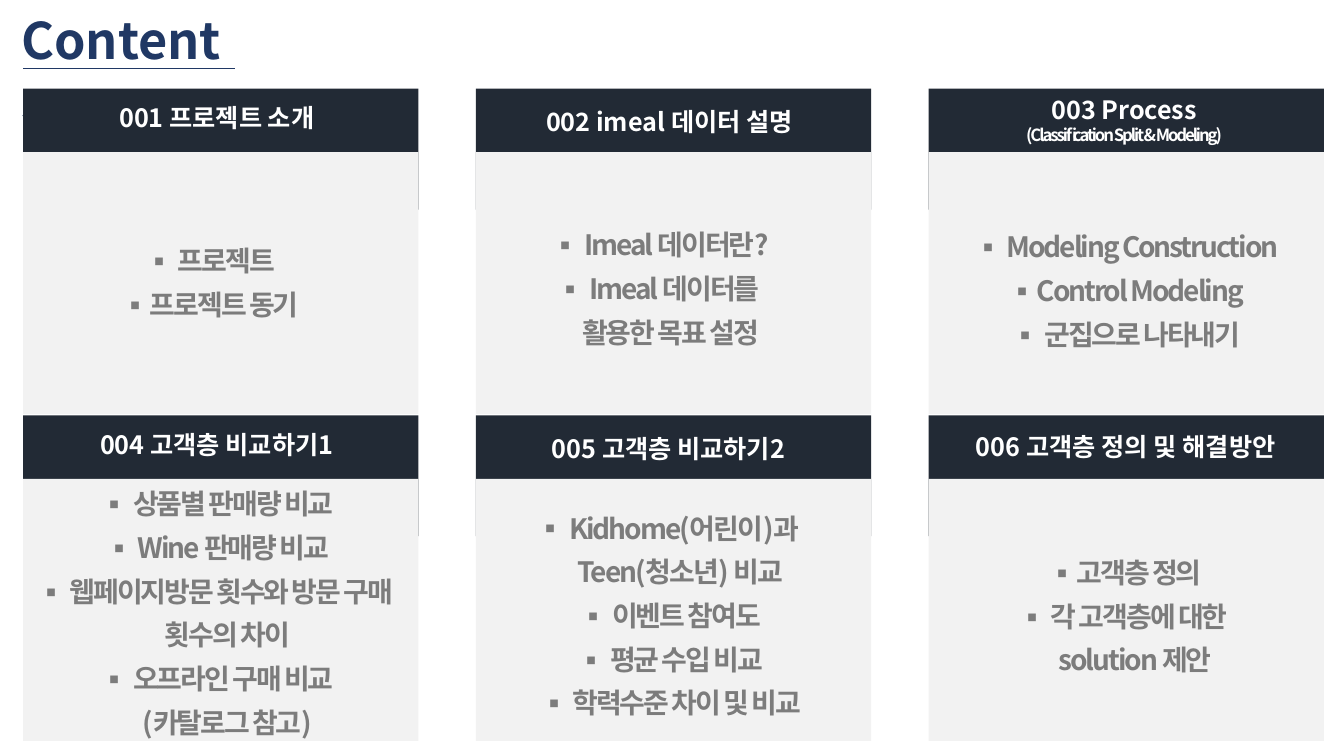
"""Build a contents slide with six titled cards in a grid."""
import dataclasses
import typing

import lxml.etree
import pptx
import pptx.dml.color
import pptx.enum.shapes
import pptx.enum.text
import pptx.oxml.ns
import pptx.util

Inches = pptx.util.Inches
qn = pptx.oxml.ns.qn
Box = typing.Tuple[float, float, float, float]

FONT = "Noto Sans CJK KR"
HEX = {"navy": "203864", "bar": "222A35", "panel": "F2F2F2", "white": "FFFFFF", "gray": "7C7C7C"}
COLS = 3
LEFT, TOP, WIDTH = 0.23, 0.88, 3.92
STEP_X, STEP_Y = 4.49, 3.24
BAR, DROP, PANEL = 1.2, 0.63, 2.6
INDENT = 0.2


@dataclasses.dataclass(frozen=True)
class Look:
    """Describe how a paragraph is set."""
    size: int
    color: str
    align: pptx.enum.text.PP_ALIGN = pptx.enum.text.PP_ALIGN.CENTER
    tight: bool = False
    lines: float = 1.0


@dataclasses.dataclass(frozen=True)
class Card:
    """Hold the wording and text boxes of one card."""
    head: str
    spot: Box
    items: typing.List[str]
    area: Box
    note: str = ""


TITLE = Look(36, "navy", pptx.enum.text.PP_ALIGN.LEFT)
HEAD = Look(18, "white")
NOTE = Look(12, "white", tight=True)
ITEM = Look(20, "gray", tight=True, lines=1.3)

CARDS = [
    Card("001 프로젝트 소개", (0.42, 0.97, 3.46, 0.4),
         [" 프로젝트", "프로젝트 동기"], (0.06, 2.27, 4.05, 0.93)),
    Card("002 imeal 데이터 설명", (4.91, 1.01, 3.46, 0.4),
         [" Imeal 데이터란?", " Imeal 데이터를 \n활용한 목표 설정"], (4.39, 2.11, 4.32, 1.41)),
    Card("003 Process", (9.2, 0.89, 3.9, 0.61),
         [" Modeling Construction", "Control Modeling", " 군집으로 나타내기"],
         (9.2, 2.13, 3.94, 1.41), "(Classification Split & Modeling)"),
    Card("004 고객층 비교하기1", (0.42, 4.21, 3.46, 0.4),
         [" 상품별 판매량 비교", " Wine 판매량 비교",
          " 웹페이지방문 횟수와 방문 구매 \n횟수의 차이", " 오프라인 구매 비교\n(카탈로그 참고)"],
         (0.13, 4.68, 4.05, 2.73)),
    Card("005 고객층 비교하기2", (4.9, 4.25, 3.46, 0.4),
         [" Kidhome(어린이)과 \nTeen(청소년) 비교", " 이벤트 참여도",
          " 평균 수입 비교", " 학력수준 차이 및 비교"], (4.28, 4.92, 4.74, 2.29)),
    Card("006 고객층 정의 및 해결방안", (9.3, 4.23, 3.73, 0.4),
         ["고객층 정의", " 각 고객층에 대한 \nsolution 제안"], (9.18, 5.36, 3.96, 1.41)),
]


def rgb(name: str) -> pptx.dml.color.RGBColor:
    """Return a named colour."""
    return pptx.dml.color.RGBColor.from_string(HEX[name])


def place(shape, box: Box, wrap: bool = True) -> None:
    """Move a text shape and set its frame."""
    shape.left, shape.top, shape.width, shape.height = map(Inches, box)
    frame = shape.text_frame
    frame.word_wrap = wrap
    frame.auto_size = pptx.enum.text.MSO_AUTO_SIZE.SHAPE_TO_FIT_TEXT
    frame.vertical_anchor = pptx.enum.text.MSO_ANCHOR.TOP
    frame.margin_left = frame.margin_right = Inches(0.1)
    frame.margin_top = frame.margin_bottom = Inches(0.05)


def style(para, look: Look) -> None:
    """Format a paragraph and its runs."""
    para.alignment = look.align
    para.line_spacing = look.lines
    para.space_before = para.space_after = pptx.util.Pt(0)
    for run in para.runs:
        font = run.font
        font.size, font.bold, font.name = pptx.util.Pt(look.size), True, FONT
        font.color.rgb = rgb(look.color)


def refine(node, look: Look) -> None:
    """Set the Korean font, letter spacing and break size of a paragraph."""
    for props in node.iter(qn("a:rPr")):
        lxml.etree.SubElement(props, qn("a:ea"), typeface=FONT)
        if look.tight:
            props.set("spc", "-150")
    for gap in node.iter(qn("a:br")):
        lxml.etree.SubElement(gap, qn("a:rPr"), sz=str(look.size * 100))


def write(shape, texts: typing.List[str], looks: typing.List[Look]) -> None:
    """Fill a shape with one paragraph for each text and look."""
    frame = shape.text_frame
    for num, (text, look) in enumerate(zip(texts, looks)):
        para = frame.add_paragraph() if num else frame.paragraphs[0]
        para.text = text
        style(para, look)
    for node, look in zip(shape.element.iter(qn("a:p")), looks):
        refine(node, look)


def bullet(shape) -> None:
    """Give each paragraph a square bullet and a hanging indent."""
    for props in shape.element.iter(qn("a:pPr")):
        props.set("marL", str(Inches(INDENT)))
        props.set("indent", str(Inches(-INDENT)))
        lxml.etree.SubElement(props, qn("a:buFont"), typeface=FONT)
        lxml.etree.SubElement(props, qn("a:buChar"), char="▪")


def block(slide, box: Box, color: str) -> None:
    """Draw a plain filled rectangle."""
    shape = slide.shapes.add_shape(pptx.enum.shapes.MSO_SHAPE.RECTANGLE, *map(Inches, box))
    shape.shadow.inherit = False
    shape.fill.solid()
    shape.fill.fore_color.rgb = rgb(color)
    shape.line.fill.background()


def label(slide, card: Card) -> None:
    """Write the heading of a card and its note, if any."""
    shape = slide.shapes.add_textbox(*map(Inches, card.spot))
    place(shape, card.spot)
    texts = [card.head, card.note] if card.note else [card.head]
    write(shape, texts, [HEAD, NOTE][:len(texts)])


def outline(slide, card: Card, shape) -> None:
    """Write the bullets of a card in front of its panel."""
    slide.shapes.element.append(shape.element)
    place(shape, card.area)
    write(shape, card.items, [ITEM] * len(card.items))
    bullet(shape)


def header(slide, title) -> None:
    """Write the slide title and underline it."""
    place(title, (0.11, 0.04, 2.35, 0.71), wrap=False)
    write(title, ["Contents"], [TITLE])
    rule = slide.shapes.add_connector(
        pptx.enum.shapes.MSO_CONNECTOR.STRAIGHT, *map(Inches, (LEFT, 0.68, 2.33, 0.68)))
    rule.line.color.rgb = rgb("navy")
    rule.line.width = pptx.util.Pt(0.5)
    lxml.etree.SubElement(rule.element.spPr, qn("a:effectLst"))


def main() -> None:
    """Build and save the slide."""
    deck = pptx.Presentation()
    deck.slide_width, deck.slide_height = Inches(13.33), Inches(7.5)
    slide = deck.slides.add_slide(deck.slide_layouts.get_by_name("Comparison"))
    title, *bodies = slide.placeholders
    header(slide, title)
    for num, card in enumerate(CARDS):
        row, col = divmod(num, COLS)
        left, top = LEFT + col * STEP_X, TOP + row * STEP_Y
        block(slide, (left, top, WIDTH, BAR), "bar")
        block(slide, (left, top + DROP, WIDTH, PANEL), "panel")
        label(slide, card)
        body = bodies.pop(0) if bodies else slide.shapes.add_textbox(*map(Inches, card.area))
        outline(slide, card, body)
    deck.save("out.pptx")


if __name__ == "__main__":
    main()
